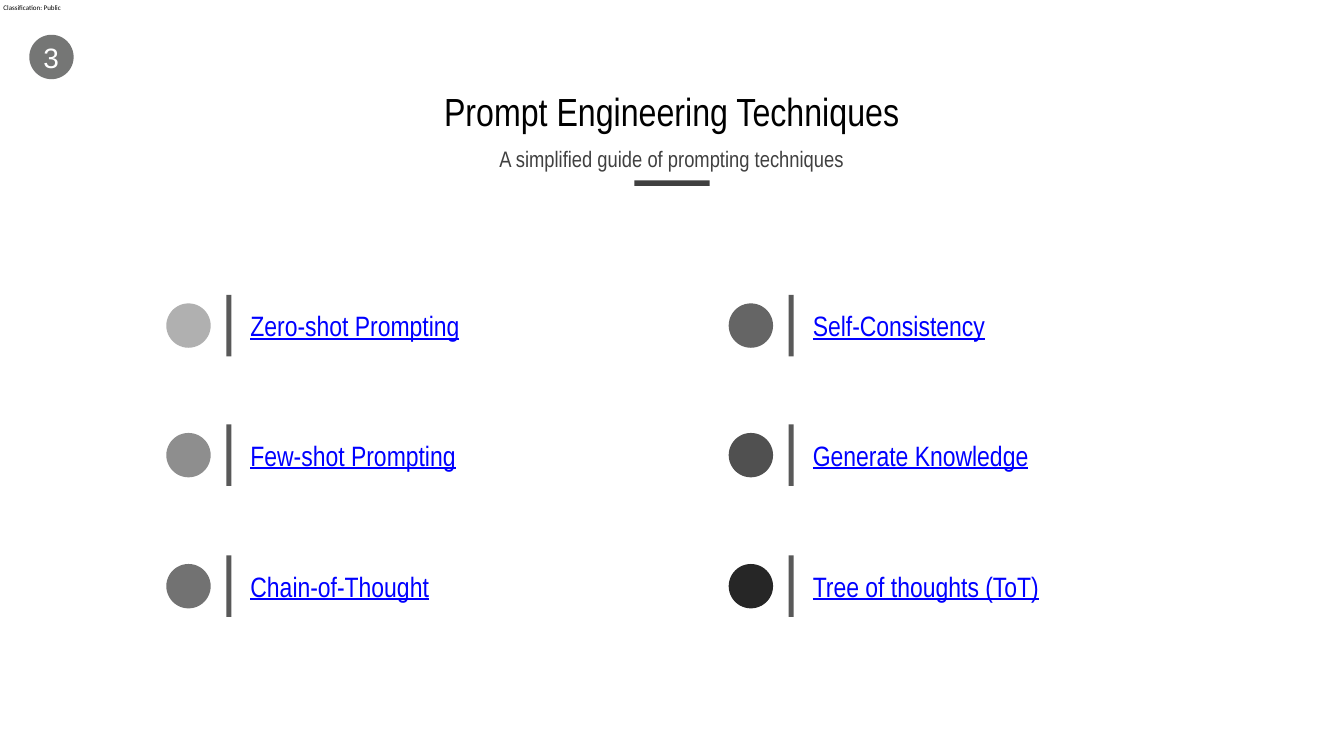
from dataclasses import dataclass

from pptx import Presentation
from pptx.dml.color import RGBColor
from pptx.enum.shapes import MSO_SHAPE
from pptx.enum.text import MSO_ANCHOR, PP_ALIGN
from pptx.util import Pt

OVAL, RECTANGLE = MSO_SHAPE.OVAL, MSO_SHAPE.RECTANGLE
LEFT, CENTER = PP_ALIGN.LEFT, PP_ALIGN.CENTER
TOP, MIDDLE = MSO_ANCHOR.TOP, MSO_ANCHOR.MIDDLE

COLORS = {
    "black": "000000",
    "white": "FFFFFF",
    "subtitle": "404040",
    "bar": "595959",
    "link": "0000FF",
    "badge": "757675",
}

# Lengths in points
SLIDE_WIDTH, SLIDE_HEIGHT = 1920.24, 1080
CIRCLE_SIZE = 63.4
BAR_WIDTH, BAR_HEIGHT, BAR_OFFSET = 7.2, 87.8, 85.7
LABEL_HEIGHT, LABEL_OFFSET = 56.2, 115.9
COLUMN_LEFTS = (237.6, 1041.1)
ROW_CENTERS = (465.1, 650.2, 837.4)


@dataclass
class TextStyle:
    font: str
    size: float
    color: str
    align: PP_ALIGN = LEFT
    anchor: MSO_ANCHOR = MIDDLE
    inset: float = 4.3
    line_spacing: float = 1.0
    underline: bool = False


@dataclass
class Technique:
    name: str
    circle_color: str
    label_width: float


CLASSIFICATION = TextStyle("Calibri", 10, COLORS["black"], anchor=TOP, inset=0)
TITLE = TextStyle("Arial Narrow", 56, COLORS["black"], CENTER, inset=7.2, line_spacing=0.9)
SUBTITLE = TextStyle("Arial Narrow", 32, COLORS["subtitle"], CENTER, inset=7.2, line_spacing=0.9)
LABEL = TextStyle("Arial Narrow", 40, COLORS["link"], underline=True)
PAGE_NUMBER = TextStyle("Arial", 40, COLORS["white"], CENTER)

# One list per column, top to bottom
TECHNIQUES = (
    (
        Technique("Zero-shot Prompting", "B0B0B0", 373.7),
        Technique("Few-shot Prompting", "8E8E8E", 367.2),
        Technique("Chain-of-Thought", "727272", 320.4),
    ),
    (
        Technique("Self-Consistency", "656565", 308.9),
        Technique("Generate Knowledge", "505050", 384.5),
        Technique("Tree of thoughts (ToT)", "262626", 403.2),
    ),
)


def add_filled(slide, kind: MSO_SHAPE, left: float, top: float,
               width: float, height: float, color: str) -> None:
    shape = slide.shapes.add_shape(kind, Pt(left), Pt(top), Pt(width), Pt(height))
    shape.shadow.inherit = False
    shape.fill.solid()
    shape.fill.fore_color.rgb = RGBColor.from_string(color)
    shape.line.fill.background()


def add_text(slide, text: str, left: float, top: float, width: float,
             height: float, style: TextStyle, wrap: bool = True) -> None:
    box = slide.shapes.add_textbox(Pt(left), Pt(top), Pt(width), Pt(height))
    frame = box.text_frame
    frame.word_wrap = wrap
    frame.vertical_anchor = style.anchor
    frame.margin_left = frame.margin_right = Pt(style.inset)
    frame.margin_top = frame.margin_bottom = Pt(style.inset)
    paragraph = frame.paragraphs[0]
    paragraph.text = text
    paragraph.alignment = style.align
    paragraph.line_spacing = style.line_spacing
    paragraph.font.name = style.font
    paragraph.font.size = Pt(style.size)
    paragraph.font.underline = style.underline
    paragraph.font.color.rgb = RGBColor.from_string(style.color)


def add_technique(slide, technique: Technique, left: float, center: float) -> None:
    add_filled(slide, OVAL, left, center - CIRCLE_SIZE / 2,
               CIRCLE_SIZE, CIRCLE_SIZE, technique.circle_color)
    add_filled(slide, RECTANGLE, left + BAR_OFFSET, center - BAR_HEIGHT / 2,
               BAR_WIDTH, BAR_HEIGHT, COLORS["bar"])
    add_text(slide, technique.name, left + LABEL_OFFSET, center - LABEL_HEIGHT / 2,
             technique.label_width, LABEL_HEIGHT, LABEL)


def main() -> None:
    presentation = Presentation()
    presentation.slide_width = Pt(SLIDE_WIDTH)
    presentation.slide_height = Pt(SLIDE_HEIGHT)
    slide = presentation.slides.add_slide(presentation.slide_layouts[6])

    # Heading
    add_text(slide, "Classification: Public", 5, 5, 84.2, 10.8, CLASSIFICATION, wrap=False)
    add_text(slide, "Prompt Engineering Techniques", 131.8, 113.8, 1656, 96.5, TITLE)
    add_text(slide, "A simplified guide of prompting techniques",
             139, 202.3, 1641.6, 54, SUBTITLE)
    add_filled(slide, RECTANGLE, 906.5, 257.8, 107.3, 7.9, COLORS["subtitle"])

    # Grid of techniques
    for left, column in zip(COLUMN_LEFTS, TECHNIQUES):
        for center, technique in zip(ROW_CENTERS, column):
            add_technique(slide, technique, left, center)

    # Page number badge
    add_filled(slide, OVAL, 41.8, 49.7, CIRCLE_SIZE, CIRCLE_SIZE, COLORS["badge"])
    add_text(slide, "3", 57.6, 53.3, 31, LABEL_HEIGHT, PAGE_NUMBER, wrap=False)

    presentation.save("out.pptx")


if __name__ == "__main__":
    main()
